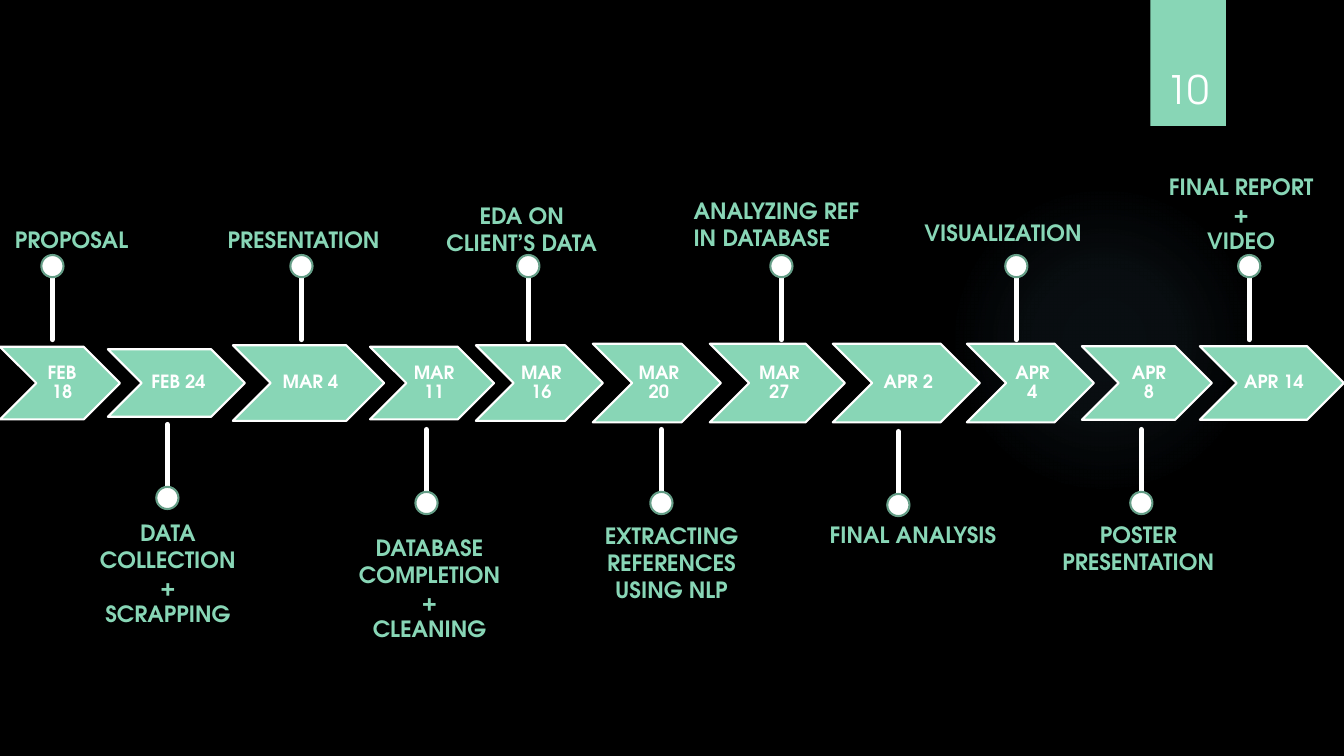
"""Builds a project timeline slide with dated chevrons, pins and milestone labels."""
from collections import namedtuple
from dataclasses import dataclass

from pptx import Presentation
from pptx import util as u
from pptx.dml.color import RGBColor
from pptx.enum import shapes, text
from pptx.oxml import parse_xml
from pptx.oxml.ns import nsdecls, qn


@dataclass(frozen=True)
class Theme:
    font: str = "TeX Gyre Adventor"
    back: str = "000000"
    mint: str = "88D6B6"
    white: str = "FFFFFF"
    rim: str = "659E87"
    glow: str = "7AC4F0"
    number_size: float = 28
    label_size: float = 16
    date_size: float = 13
    outline: float = 1.5
    stem: float = 3.5


Milestone = namedtuple("Milestone", "date left width height pin stem_top label label_left label_top label_width lines align")

LEFT, CENTER = text.PP_ALIGN.LEFT, text.PP_ALIGN.CENTER
AXIS = 3.8
STEM_LENGTH = 0.62
DOT = 0.22

MILESTONES = [
    Milestone("FEB 18", 0, 1.19, 0.72, 0.52, 2.75, "PROPOSAL", 0.05, 2.19, 1.59, 1, LEFT),
    Milestone("FEB 24", 1.07, 1.36, 0.67, 1.66, 4.21, "DATA COLLECTION\n+\nSCRAPPING", 0.87, 5.1, 1.59, 4, CENTER),
    Milestone("MAR 4", 2.31, 1.5, 0.75, 2.99, 2.75, "PRESENTATION", 2.16, 2.19, 1.88, 1, LEFT),
    Milestone("MAR 11", 3.67, 1.23, 0.72, 4.23, 4.26, "DATABASE COMPLETION\n+\nCLEANING", 3.32, 5.25, 1.88, 4, CENTER),
    Milestone("MAR 16", 4.72, 1.26, 0.75, 5.24, 2.75, "EDA ON\nCLIENT’S DATA", 4.09, 1.96, 2.17, 2, CENTER),
    Milestone("MAR 20", 5.88, 1.27, 0.78, 6.56, 4.26, "EXTRACTING REFERENCES USING NLP", 5.72, 5.13, 1.88, 3, CENTER),
    Milestone("MAR 27", 7.04, 1.34, 0.78, 7.75, 2.75, "ANALYZING REF IN DATABASE", 6.78, 1.91, 1.88, 2, LEFT),
    Milestone("APR 2", 8.26, 1.46, 0.78, 8.91, 4.28, "FINAL ANALYSIS", 8.13, 5.12, 1.88, 1, LEFT),
    Milestone("APR 4", 9.59, 1.26, 0.78, 10.08, 2.75, "VISUALIZATION", 9.07, 2.13, 1.88, 1, LEFT),
    Milestone("APR 8", 10.73, 1.29, 0.73, 11.32, 4.26, "POSTER PRESENTATION", 10.35, 5.12, 1.88, 2, CENTER),
    Milestone("APR 14", 11.9, 1.43, 0.73, 12.39, 2.75, "FINAL REPORT\n+\nVIDEO", 11.37, 1.67, 1.88, 3, CENTER),
]


class TimelinePage:
    def __init__(self, page, theme):
        self.page = page
        self.theme = theme
        page.background.fill.solid()
        page.background.fill.fore_color.rgb = RGBColor.from_string(theme.back)

    def shape(self, kind, left, top, width, height, fill, line=None):
        shape = self.page.shapes.add_shape(kind, *map(u.Inches, (left, top, width, height)))
        shape.shadow.inherit = False
        shape.fill.solid()
        shape.fill.fore_color.rgb = RGBColor.from_string(fill)
        if line:
            shape.line.color.rgb = RGBColor.from_string(line)
            shape.line.width = u.Pt(self.theme.outline)
        else:
            shape.line.fill.background()
        return shape

    def set_words(self, frame, words, size, color, bold=True, align=CENTER):
        frame.word_wrap = True
        frame.text = words
        for para in frame.paragraphs:
            para.alignment = align
            para.font.name = self.theme.font
            para.font.size = u.Pt(size)
            para.font.bold = bold
            para.font.color.rgb = RGBColor.from_string(color)

    def glow(self, left, top, size):
        orb = self.shape(shapes.MSO_SHAPE.OVAL, left, top, size, size, self.theme.glow)
        stops = "".join(
            f'<a:gs pos="{place * 1000}"><a:srgbClr val="{self.theme.glow}">'
            f'<a:alpha val="{alpha * 1000}"/></a:srgbClr></a:gs>'
            for place, alpha in ((0, 7), (36, 6), (69, 0))
        )
        gradient = parse_xml(
            f'<a:gradFill {nsdecls("a")}><a:gsLst>{stops}</a:gsLst><a:path path="circle">'
            '<a:fillToRect l="50000" t="50000" r="50000" b="50000"/></a:path></a:gradFill>'
        )
        properties = orb.element.spPr
        properties.replace(properties.find(qn("a:solidFill")), gradient)

    def number_tab(self, number):
        self.shape(shapes.MSO_SHAPE.RECTANGLE, 11.41, 0, 0.75, 1.25, self.theme.mint)
        box = self.page.shapes.add_textbox(*map(u.Inches, (11.32, 0.32, 0.92, 0.84)))
        box.text_frame.vertical_anchor = text.MSO_ANCHOR.BOTTOM
        self.set_words(box.text_frame, number, self.theme.number_size, self.theme.white, bold=False)

    def chevron(self, stone):
        arrow = self.shape(
            shapes.MSO_SHAPE.CHEVRON, stone.left, AXIS - stone.height / 2,
            stone.width, stone.height, self.theme.mint, self.theme.white,
        )
        frame = arrow.text_frame
        frame.margin_left = u.Inches(0.06)
        frame.margin_top = frame.margin_right = frame.margin_bottom = u.Inches(0.02)
        frame.vertical_anchor = text.MSO_ANCHOR.MIDDLE
        self.set_words(frame, stone.date, self.theme.date_size, self.theme.white)
        frame.paragraphs[0].line_spacing = 0.9

    def pin(self, stone):
        bottom = stone.stem_top + STEM_LENGTH
        ends = (stone.pin, stone.stem_top, stone.pin, bottom)
        stem = self.page.shapes.add_connector(shapes.MSO_CONNECTOR.STRAIGHT, *map(u.Inches, ends))
        stem.line.color.rgb = RGBColor.from_string(self.theme.white)
        stem.line.width = u.Pt(self.theme.stem)
        properties = stem.element.spPr
        properties.find(qn("a:ln")).set("cap", "rnd")
        properties.append(parse_xml(f'<a:effectLst {nsdecls("a")}/>'))
        dot_top = stone.stem_top - DOT if bottom < AXIS else bottom
        self.shape(
            shapes.MSO_SHAPE.OVAL, stone.pin - DOT / 2, dot_top, DOT, DOT,
            self.theme.white, self.theme.rim,
        )

    def label(self, stone):
        height = 0.1 + 0.27 * stone.lines
        place = (stone.label_left, stone.label_top, stone.label_width, height)
        box = self.page.shapes.add_textbox(*map(u.Inches, place))
        box.text_frame.auto_size = text.MSO_AUTO_SIZE.SHAPE_TO_FIT_TEXT
        self.set_words(box.text_frame, stone.label, self.theme.label_size, self.theme.mint, align=stone.align)


def main():
    deck = Presentation()
    deck.slide_width, deck.slide_height = u.Inches(13.33), u.Inches(7.5)
    timeline = TimelinePage(deck.slides.add_slide(deck.slide_layouts[6]), Theme())
    timeline.glow(9.41, 1.83, 3.08)
    timeline.number_tab("10")
    for draw in (timeline.chevron, timeline.pin, timeline.label):
        for stone in MILESTONES:
            draw(stone)
    deck.save("out.pptx")


if __name__ == "__main__":
    main()
